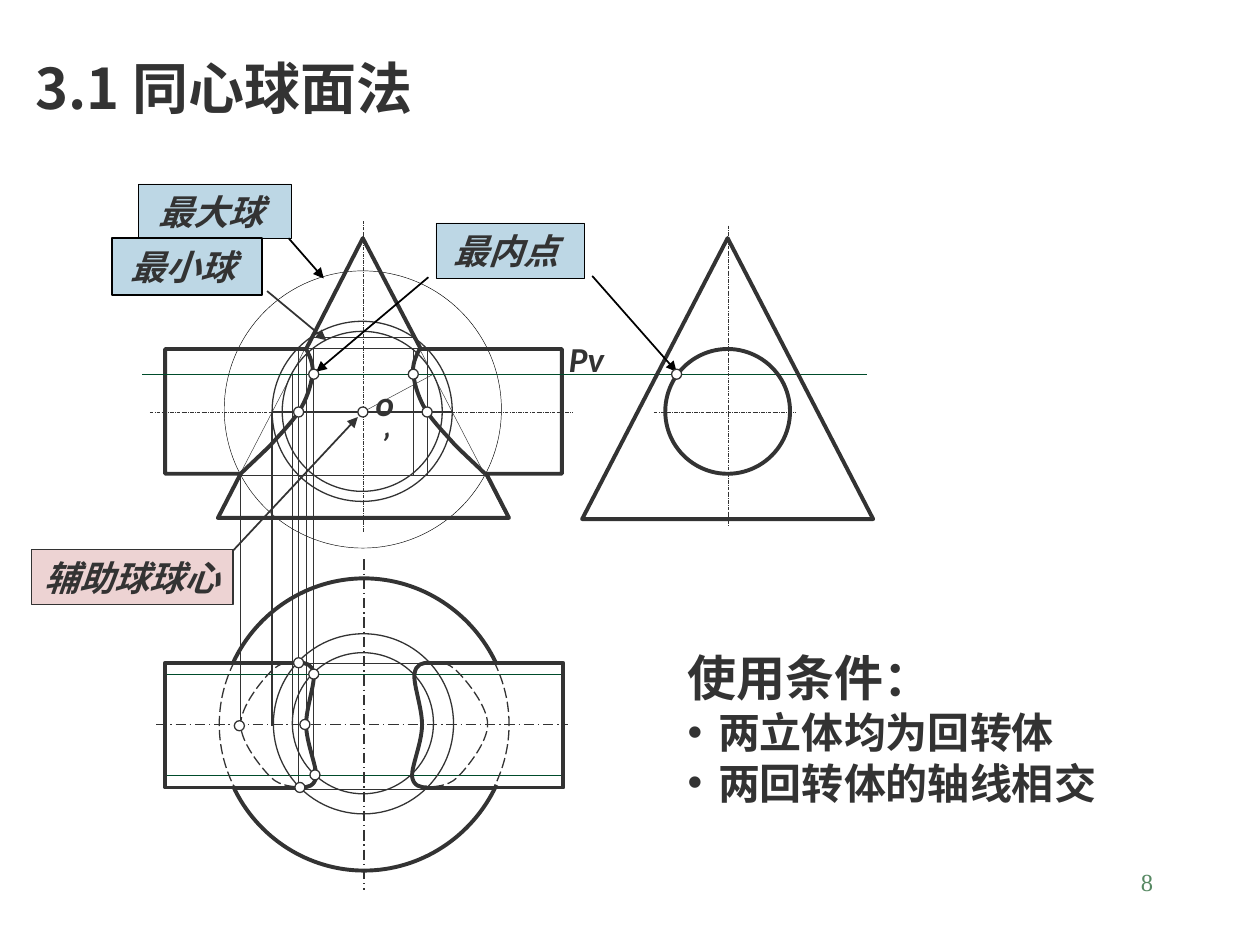
import pptx
import pptx.util
import pptx.dml.color
import pptx.enum.dml
import pptx.enum.shapes
import pptx.enum.text
import pptx.oxml
import pptx.oxml.ns

PX = 9144  # 100 px to the inch
HUE = {"ink": "333333", "black": "000000", "plane": "004C2B", "blue": "BDD7E5",
       "pink": "EDD3D3", "white": "FFFFFF", "page": "578963"}
CJK, LATIN, SERIF = "Noto Sans CJK SC", "Calibri", "Times New Roman"
THIN, FINE, BOLD = 0.25, 0.75, 2.25
KIND = pptx.enum.shapes.MSO_SHAPE
DASH = pptx.enum.dml.MSO_LINE.LONG_DASH
AXIS = pptx.enum.dml.MSO_LINE.LONG_DASH_DOT
ALIGN = pptx.enum.text.PP_ALIGN
MID = pptx.enum.text.MSO_ANCHOR.MIDDLE
SIDES = (1, -1)


def rgb(name):
    return pptx.dml.color.RGBColor.from_string(HUE[name])


def fmt(part, vals):
    for key, val in vals.items():
        setattr(part, key, val)


def add(node, tag, **vals):
    kid = node.makeelement(pptx.oxml.ns.qn("a:" + tag), vals)
    node.append(kid)
    return kid


def mid(box):
    x, y, w, h = box
    return x + w // 2, y + h // 2


def pen(shape, hue, width, dash=None):
    shape.line.color.rgb = rgb(hue)
    fmt(shape.line, {"width": pptx.util.Pt(width), "dash_style": dash})


def line(slide, org, ends, width=FINE, hue="ink", dash=None, head=False):
    spots = [(org[i % 2] + v) * PX for i, v in enumerate(ends)]
    link = slide.shapes.add_connector(pptx.enum.shapes.MSO_CONNECTOR.STRAIGHT, *spots)
    pen(link, hue, width, dash)
    if head:
        add(link.line._get_or_add_ln(), "tailEnd", type="triangle")
    add(link._element.spPr, "effectLst")


def form(slide, org, kind, box, width=FINE, hue="ink", fill=None):
    x, y, w, h = box
    part = slide.shapes.add_shape(kind, *[v * PX for v in (org[0] + x, org[1] + y, w, h)])
    part.shadow.inherit = False
    if fill:
        part.fill.solid()
        part.fill.fore_color.rgb = rgb(fill)
    else:
        part.fill.background()
    pen(part, hue, width)
    return part


def ring(slide, org, x, y, size, width=FINE, hue="ink", fill=None):
    form(slide, org, KIND.OVAL, (x, y, size, size), width, hue, fill)


def dots(slide, org, spots):
    for x, y in spots:
        ring(slide, org, x - 4, y - 4, 8, fill="white")


def trace(slide, org, spots, width=BOLD, dash=None, close=False):
    pts = [((org[0] + x) * PX, (org[1] + y) * PX) for x, y in spots]
    maker = slide.shapes.build_freeform(*pts[0], scale=1.0)
    maker.add_line_segments(pts[1:], close=close)
    part = maker.convert_to_shape()
    part.shadow.inherit = False
    part.fill.background()
    pen(part, "ink", width, dash)
    return part


def bend(slide, org, spots, width=BOLD, dash=None):
    """Chain of cubic curves: a start, then three points for each curve."""
    part = trace(slide, org, spots, width, dash)
    legs = list(part._element.iter(pptx.oxml.ns.qn("a:lnTo")))
    route = legs[0].getparent()
    for i in range(0, len(legs), 3):
        cubic = add(route, "cubicBezTo")
        for leg in legs[i:i + 3]:
            cubic.append(leg[0])
            route.remove(leg)


def flip(spots, sx, sy=1, shift=0):
    return [(sx * x + shift, sy * y) for x, y in spots]


def write(para, text, size, face=CJK, hue="ink", bold=True, italic=False):
    run = para.add_run()
    run.text = text
    fmt(run.font, {"size": pptx.util.Pt(size), "name": face, "bold": bold, "italic": italic})
    run.font.color.rgb = rgb(hue)
    add(run._r.get_or_add_rPr(), "ea", typeface=face)


def note(slide, box, anchor=MID):
    frame = slide.shapes.add_textbox(*[v * PX for v in box]).text_frame
    fmt(frame, {"word_wrap": True, "vertical_anchor": anchor})
    return frame


def head(slide, box):
    title = slide.shapes.title
    fmt(title, dict(zip(("left", "top", "width", "height"), [v * PX for v in box])))
    title.text_frame.vertical_anchor = MID
    para = title.text_frame.paragraphs[0]
    para.alignment = ALIGN.LEFT
    write(para, "3.1 同心球面法", 32)


def front(slide, box):
    org = mid(box)
    form(slide, org, KIND.ISOSCELES_TRIANGLE, (-116, -138, 231, 223), THIN)
    # Auxiliary spheres
    ring(slide, org, -72, -72, 143)
    ring(slide, org, -64, -64, 127)
    ring(slide, org, -110, -112, 220, THIN, "black")
    # Traces of the section circles
    for ends in ((-42, -59, 42, -59), (-51, 50, -51, -51), (-72, 0, 71, 0),
                 (-56, -30, 55, -30), (40, -50, 40, 50), (-39, -51, -39, 50)):
        line(slide, org, ends)
    for ends in ((0, 0, 56, -30), (-99, 50, 100, 50), (-46, -51, 47, -51), (51, 50, 51, -51)):
        line(slide, org, ends, THIN)
    for ends in ((0, 95, 0, -152), (-169, 0, 166, 0)):
        line(slide, org, ends, THIN, dash=AXIS)
    # Outline of cone and cylinder, then the curves where they meet
    half = [(-115, 84), (-97, 49), (-157, 49), (-157, -50), (-45, -50)]
    trace(slide, org, half + [(0, -138)] + flip(half, -1, shift=1)[::-1], close=True)
    curve = [(-45, -50), (-42, -44), (-39, -38), (-40, -30), (-41, -21), (-45, -9),
             (-51, 0), (-57, 9), (-66, 18), (-73, 26), (-81, 34), (-93, 45), (-97, 49)]
    for sign in SIDES:
        bend(slide, org, flip(curve, sign))
    # Cutting plane and projection lines down to the top view
    line(slide, org, (-175, -30, 400, -30), THIN, "plane")
    for x, top, end in ((-72, 0, 249), (-51, 47, 298), (-56, -30, 248),
                        (-39, 49, 288), (-45, -50, 248), (-97, 49, 248)):
        line(slide, org, (x, top, x, end))


def side(slide, box):
    org = mid(box)
    form(slide, org, KIND.ISOSCELES_TRIANGLE, (-116, -138, 231, 223), BOLD)
    ring(slide, org, -50, -50, 99, BOLD)
    for ends in ((0, -148, 0, 91), (-59, 0, 54, 0)):
        line(slide, org, ends, THIN, dash=AXIS)


def plan(slide, box):
    org = mid(box)
    for ends, hue in (((-108, -49, 105, -49), "ink"), ((-103, 51, 105, 51), "ink"),
                      ((-158, -40, 157, -40), "plane"), ((-159, 40, 157, 40), "plane")):
        line(slide, org, ends, THIN, hue)
    for ends in ((0, -131, 0, 131), (-165, 0, 162, 0)):
        line(slide, org, ends, dash=AXIS)
    ring(slide, org, -72, -72, 143)
    ring(slide, org, -57, -57, 112)
    # Left and upper halves, each mirrored
    end = [(-103, 50), (-158, 50), (-158, -49), (-103, -49)]
    rim = [(-104, -49), (-85, -90), (-44, -116), (0, -116), (45, -116), (86, -89), (105, -48)]
    hid = [(-103, -50), (-111, -34), (-115, -17), (-115, 0), (-115, 17), (-111, 34), (-103, 50)]
    near = [(-52, -49), (-46, -49), (-41, -48), (-40, -40), (-39, -32), (-46, -13), (-46, 0),
            (-46, 14), (-38, 32), (-38, 41), (-39, 49), (-45, 50), (-50, 50)]
    far = [(-52, -49), (-59, -50), (-66, -50), (-74, -42), (-82, -34), (-98, -14), (-98, 0),
           (-98, 14), (-82, 34), (-74, 42), (-66, 50), (-54, 49), (-50, 50)]
    for sign in SIDES:
        trace(slide, org, flip(end, sign))
        bend(slide, org, flip(rim, 1, sign))
        bend(slide, org, flip(near, sign))
        for y in (-49, 50):
            line(slide, org, (sign * 50, y, sign * 104, y), BOLD)
        for spots in (hid, far):
            bend(slide, org, flip(spots, sign), FINE, DASH)


def tags(slide, box):
    org = box[:2]
    for text, spot, fill, hue, width in (
            ("最内点 ", (321, 31, 118, 44), "blue", "black", THIN),
            ("最大球 ", (85, 0, 121, 43), "blue", "black", THIN),
            ("辅助球球心", (0, 290, 160, 44), "pink", "ink", FINE),
            ("最小球 ", (64, 43, 119, 45), "blue", "black", 1)):
        frame = form(slide, org, KIND.RECTANGLE, spot, width, hue, fill).text_frame
        fmt(frame, {"word_wrap": False, "vertical_anchor": MID})
        frame.paragraphs[0].alignment = ALIGN.CENTER
        write(frame.paragraphs[0], text, 20, italic=True)
    for ends, hue in (((315, 74, 226, 149), "black"), ((445, 73, 512, 149), "black"),
                      ((204, 43, 232, 75), "black"), ((187, 85, 234, 124), "ink"),
                      ((160, 291, 259, 185), "ink")):
        line(slide, org, ends, 1, hue, head=True)
    # Names of the sphere centre and the cutting plane
    for spot, runs in (((286, 313, 39, 43), (("o", 20), ("’", 18))),
                       ((437, 263, 57, 43), (("Pv", 20),))):
        para = note(slide, spot).paragraphs[0]
        para.alignment = ALIGN.CENTER
        for text, size in runs:
            write(para, text, size, LATIN, italic=True)


def terms(slide, box):
    frame = note(slide, box)
    write(frame.paragraphs[0], "使用条件：", 28)
    for text in ("两立体均为回转体", "两回转体的轴线相交"):
        para = frame.add_paragraph()
        props = para._p.get_or_add_pPr()
        for key, val in (("marL", 24), ("indent", -24)):
            props.set(key, str(val * PX))
        add(props, "buFont", typeface="Arial")
        add(props, "buChar", char="•")
        write(para, text, 24)


def page(slide, box):
    para = note(slide, box, pptx.enum.text.MSO_ANCHOR.TOP).paragraphs[0]
    para.alignment = ALIGN.RIGHT
    write(para, "8", 14, SERIF, "page", bold=False)


def main():
    deck = pptx.Presentation()
    fmt(deck, {"slide_width": 1000 * PX, "slide_height": 750 * PX})
    slide = deck.slides.add_slide(deck.slide_layouts[5])
    views = {"front": (131, 189, 314, 276), "side": (462, 189, 232, 276),
             "plan": (131, 459, 316, 232)}
    head(slide, (18, 38, 927, 63))
    front(slide, views["front"])
    side(slide, views["side"])
    plan(slide, views["plan"])
    tags(slide, (25, 146, 514, 334))
    # Points of the curve, above all lines
    dots(slide, mid(views["front"]), ((0, 0), (-51, 0), (51, 0), (-39, -30), (40, -30)))
    dots(slide, mid(views["side"]), ((-41, -30),))
    dots(slide, mid(views["plan"]), ((-51, 50), (-52, -49), (-40, -40),
                                     (-39, 40), (-99, 1), (-47, 0)))
    terms(slide, (536, 509, 442, 137))
    page(slide, (717, 683, 208, 50))
    deck.save("out.pptx")


if __name__ == "__main__":
    main()
